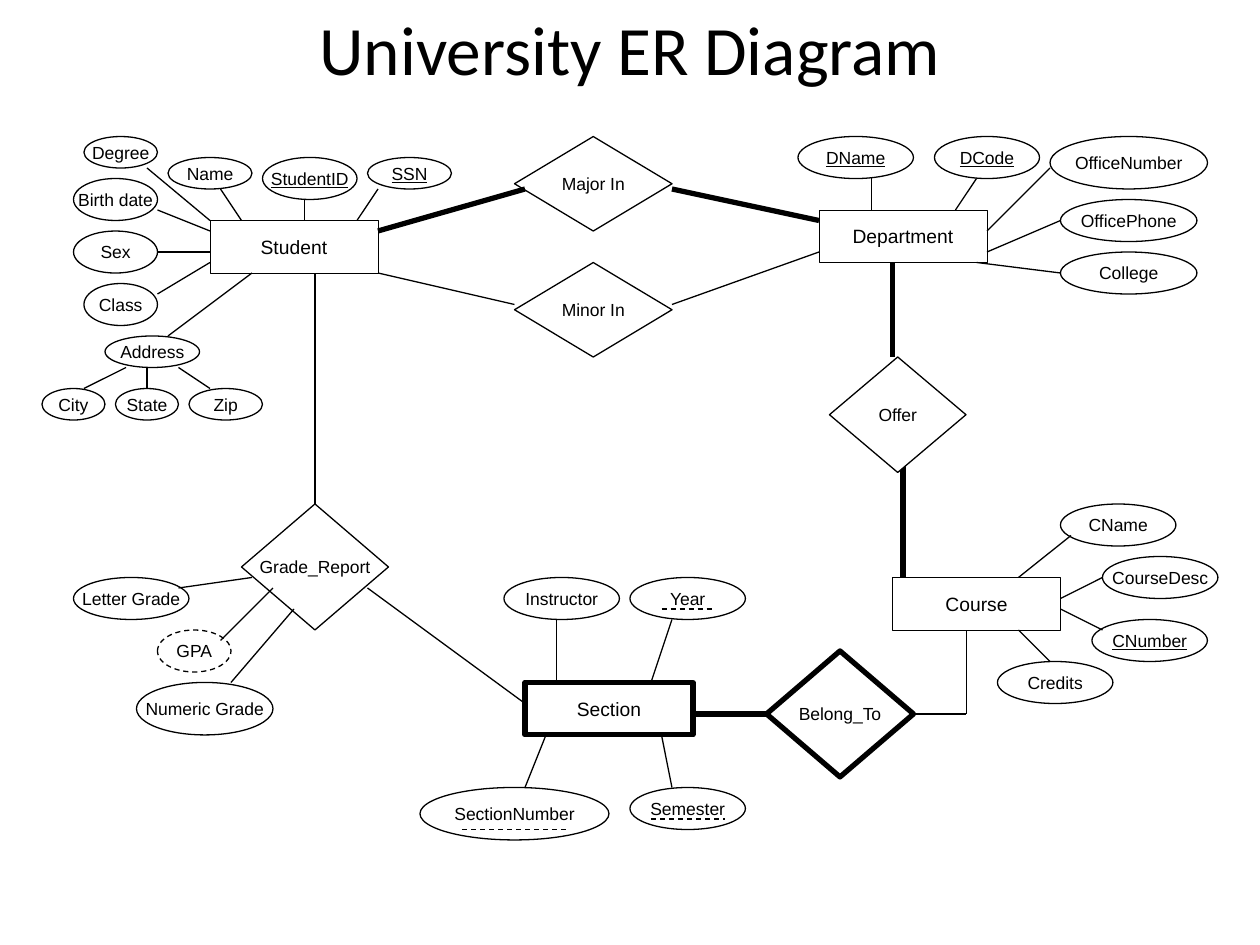
from dataclasses import dataclass

from pptx import Presentation
from pptx.dml.color import RGBColor
from pptx.enum.dml import MSO_LINE as Dash
from pptx.enum.shapes import MSO_CONNECTOR as Connector, MSO_SHAPE as Shape
from pptx.enum.text import MSO_ANCHOR as Anchor, PP_ALIGN as Align
from pptx.oxml.ns import qn
from pptx.util import Inches, Pt

CELL = 1 / 12  # inches; the slide is 120 columns by 90 rows
COLUMNS, ROWS = 120, 90


@dataclass(frozen=True)
class Theme:
    ink: RGBColor = RGBColor(0, 0, 0)
    paper: RGBColor = RGBColor(255, 255, 255)
    title_font: str = "Calibri"
    label_font: str = "Arial"
    title_size: float = 39.6
    entity_size: float = 11
    label_size: float = 10
    hairline: float = 0.25
    thin: float = 0.75
    thick: float = 3


THEME = Theme()


def cells(*counts):
    return [Inches(count * CELL) for count in counts]


def write(frame, text, font_name, size, underline=None):
    frame.margin_left = frame.margin_right = frame.margin_top = frame.margin_bottom = 0
    frame.vertical_anchor = Anchor.MIDDLE
    paragraph = frame.paragraphs[0]
    paragraph.text = text
    paragraph.alignment = Align.CENTER
    font = paragraph.font
    font.name, font.size, font.underline = font_name, Pt(size), underline
    font.color.rgb = THEME.ink


class Region:
    """Draws on the cells of a box (left, top, width, height)."""

    def __init__(self, shapes, box):
        self.shapes = shapes
        self.left, self.top = box[:2]

    def stroke(self, line, weight, dashed):
        line.color.rgb = THEME.ink
        line.width = Pt(weight)
        if dashed:
            line.dash_style = Dash.DASH

    def node(self, kind, text, left, top, width, height, weight=THEME.thin,
             size=THEME.label_size, key=False, dashed=False, filled=False):
        node = self.shapes.add_shape(
            kind, *cells(self.left + left, self.top + top, width, height))
        node.shadow.inherit = False
        if filled:
            node.fill.solid()
            node.fill.fore_color.rgb = THEME.paper
        else:
            node.fill.background()
        self.stroke(node.line, weight, dashed)
        node.text_frame.word_wrap = False
        write(node.text_frame, text, THEME.label_font, size, key or None)

    def entity(self, text, left, top, weight=THEME.hairline):
        self.node(Shape.RECTANGLE, text, left, top, 16, 5, weight, THEME.entity_size)

    def attribute(self, text, left, top, width=11, height=4, **style):
        self.node(Shape.OVAL, text, left, top, width, height, **style)

    def attributes(self, rows, **style):
        for row in rows:
            self.attribute(*row, **style)

    def links(self, ends, weight=THEME.thin, dashed=False):
        """Draws lines given as (x1, y1, x2, y2)."""
        for x1, y1, x2, y2 in ends:
            link = self.shapes.add_connector(
                Connector.STRAIGHT,
                *cells(self.left + x1, self.top + y1, self.left + x2, self.top + y2))
            self.stroke(link.line, weight, dashed)
            properties = link._element.spPr
            properties.append(properties.makeelement(qn("a:effectLst"), {}))


def draw_title(shapes, box):
    title = shapes.add_textbox(*cells(*box))
    title.text_frame.word_wrap = True
    write(title.text_frame, "University ER Diagram", THEME.title_font, THEME.title_size)


def draw_student(shapes, box):
    region = Region(shapes, box)
    region.entity("Student", 16, 8)
    region.attributes([
        ("Degree", 4, 0, 7, 3), ("Birth date", 3, 4, 8, 4), ("Sex", 3, 9, 8, 4),
        ("Class", 4, 14, 7, 4), ("Name", 12, 2, 8, 3), ("Address", 6, 19, 9, 3),
        ("City", 0, 24, 6, 3), ("State", 7, 24, 6, 3), ("Zip", 14, 24, 7, 3),
    ])
    region.attributes([("StudentID", 21, 2, 9, 4), ("SSN", 31, 2, 8, 3)], key=True)
    region.links([
        (4, 24, 8, 22), (10, 22, 10, 24), (13, 22, 16, 24), (10, 3, 16, 8),
        (12, 19, 20, 13), (11, 15, 16, 12), (11, 11, 16, 11), (11, 7, 16, 9),
        (17, 5, 19, 8), (25, 6, 25, 8), (32, 5, 30, 8),
    ])


def draw_department(shapes, box):
    region = Region(shapes.add_group_shape().shapes, box)
    region.entity("Department", 2, 7)
    region.attributes([("DName", 0, 0), ("DCode", 13, 0, 10)], key=True)
    region.attributes([
        ("OfficeNumber", 24, 0, 15, 5), ("OfficePhone", 25, 6, 13), ("College", 25, 11, 13),
    ])
    region.links([
        (7, 7, 7, 4), (15, 7, 17, 4), (18, 9, 24, 3), (18, 11, 25, 8), (17, 12, 25, 13),
    ])


def draw_course(shapes, box):
    region = Region(shapes.add_group_shape().shapes, box)
    region.entity("Course", 0, 7)
    region.attributes([("CName", 16, 0), ("CourseDesc", 20, 5), ("Credits", 10, 15)])
    region.attribute("CNumber", 19, 11, key=True)
    region.links([(12, 7, 17, 3), (16, 9, 20, 7), (16, 10, 20, 12), (12, 12, 15, 15)])


def draw_section(shapes, box):
    """Draws the weak entity, with dashes under its partial keys."""
    region = Region(shapes, box)
    region.entity("Section", 10, 10, THEME.thick)
    region.attributes([
        ("Instructor", 8, 0), ("Year", 20, 0), ("Semester", 20, 20),
        ("SectionNumber", 0, 20, 18, 5),
    ])
    region.links([(13, 10, 13, 4), (22, 10, 24, 4), (23, 15, 24, 20), (12, 15, 10, 20)])
    region.links([(4, 24, 14, 24), (23, 3, 28, 3), (22, 23, 29, 23)], dashed=True)


def draw_grade_report(shapes, box):
    region = Region(shapes, box)
    region.attribute("GPA", 8, 12, 7, dashed=True)
    region.attributes([("Numeric Grade", 6, 17, 13, 5), ("Letter Grade", 0, 7)])
    region.node(Shape.DIAMOND, "Grade_Report", 16, 0, 14, 12)
    region.links([(15, 17, 21, 10), (17, 7, 10, 8), (14, 13, 19, 8)])


def draw_relationships(shapes, box):
    """Joins the entities across the whole slide."""
    region = Region(shapes, box)
    region.links([
        (35, 56, 50, 67), (30, 48, 30, 26), (87, 68, 92, 68),
        (36, 26, 49, 29), (64, 29, 78, 24),
    ])
    region.links([(92, 60, 92, 68)], THEME.hairline)
    region.links([
        (66, 68, 73, 68), (86, 55, 86, 44), (85, 34, 85, 25),
        (36, 22, 50, 18), (64, 18, 78, 21),
    ], THEME.thick)
    region.node(Shape.DIAMOND, "Belong_To", 73, 62, 14, 12, THEME.thick)
    region.node(Shape.DIAMOND, "Offer", 79, 34, 13, 11, filled=True)
    for text, top in (("Minor In", 25), ("Major In", 13)):
        region.node(Shape.DIAMOND, text, 49, top, 15, 9)


def main():
    deck = Presentation()
    deck.slide_width, deck.slide_height = cells(COLUMNS, ROWS)
    shapes = deck.slides.add_slide(deck.slide_layouts[6]).shapes
    draw_title(shapes, (9, 0, 102, 9))
    draw_student(shapes, (4, 13, 39, 27))
    draw_department(shapes, (76, 13, 39, 15))
    draw_course(shapes, (85, 48, 31, 19))
    draw_section(shapes, (40, 55, 31, 25))
    draw_grade_report(shapes, (7, 48, 30, 22))
    draw_relationships(shapes, (0, 0, COLUMNS, ROWS))
    deck.save("out.pptx")


if __name__ == "__main__":
    main()
